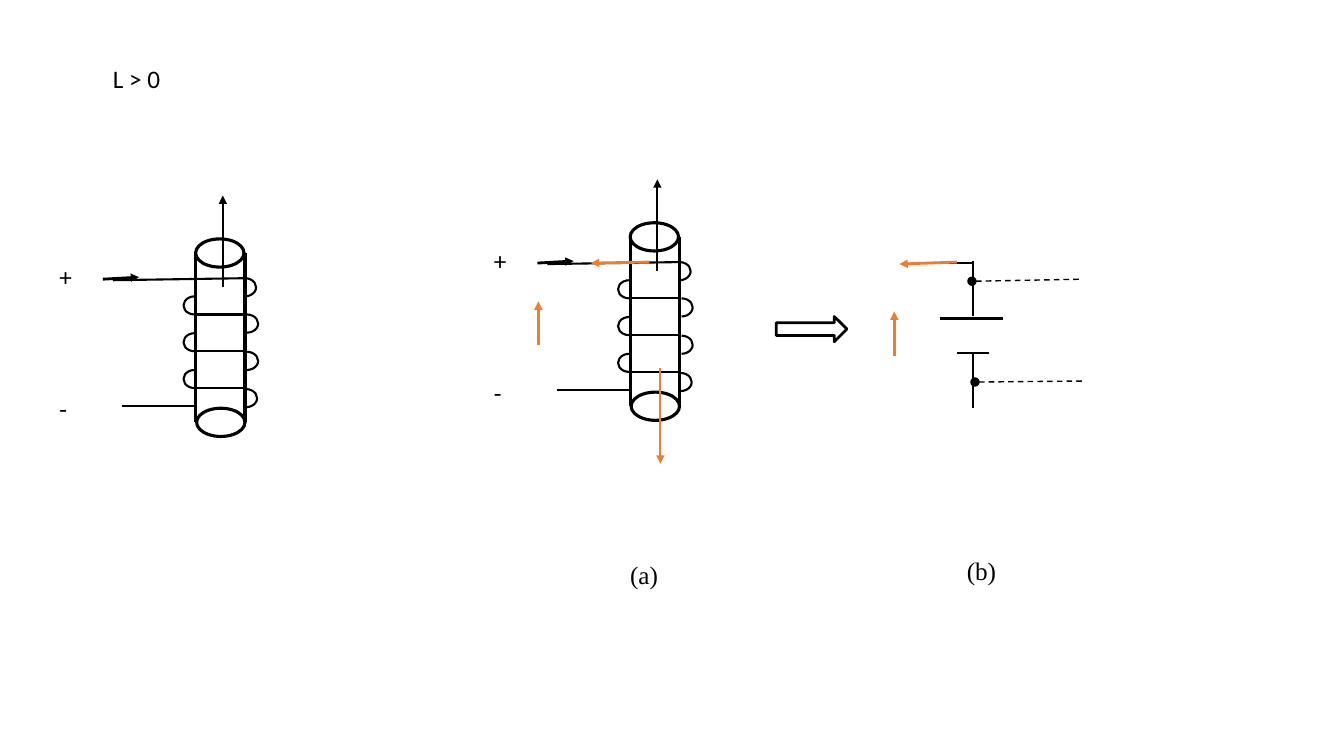
"""Draw a coil with positive inductance, its induced voltage and the equivalent source."""
from lxml import etree
from pptx import Presentation
from pptx.dml.color import RGBColor
from pptx.enum.dml import MSO_LINE
from pptx.enum.shapes import MSO_CONNECTOR, MSO_SHAPE
from pptx.enum.text import MSO_AUTO_SIZE
from pptx.oxml.ns import qn
from pptx.util import Inches, Pt

STRAIGHT = MSO_CONNECTOR.STRAIGHT
OVAL, ARC, BLOCK_ARROW = MSO_SHAPE.OVAL, MSO_SHAPE.ARC, MSO_SHAPE.RIGHT_ARROW
DASH = MSO_LINE.DASH
FIT = MSO_AUTO_SIZE.SHAPE_TO_FIT_TEXT
BLACK, ORANGE = "000000", "ED7D31"
SANS, SERIF = "Calibri", "Times New Roman"

COIL_ORIGINS = [(6.25, 2.35), (1.94, 2.51)]
CORE_WIDTH, CORE_HEIGHT = 0.49, 1.68
CAP_SIZE = (0.48, 0.28)
LOOP_SIZE = (0.22, 0.18)
TURN_PITCH = 0.365
FIRST_TURN = 0.61
RIGHT_LOOPS = [(0.38, 0.25), (0.40, 0.61), (0.40, 0.98), (0.39, 1.35)]
LEFT_LOOP_X, FIRST_LEFT_LOOP = -0.12, 0.43
RIGHT_HALF, LEFT_HALF = (162, 54), (54, 162)
SIGNS = [("+", -1.45, 0.03, 0.33), ("-", -1.45, 1.34, 0.28)]

INDUCED_ARROWS = [
    ((6.44, 2.6), (5.86, 2.61), 2),
    ((5.34, 3.42), (5.34, 2.99), 2),
    ((6.55, 3.65), (6.55, 4.6), 1.5),
    ((8.87, 3.53), (8.87, 3.09), 2),
    ((9.49, 2.6), (8.92, 2.62), 2),
]
SOURCE_LINES = [
    ((9.32, 3.16), (9.95, 3.16)),
    ((9.49, 3.5), (9.81, 3.5)),
    ((9.65, 3.14), (9.65, 2.59)),
    ((9.65, 4.05), (9.65, 3.5)),
    ((9.15, 2.61), (9.65, 2.61)),
]
TERMINALS = [(9.6, 2.75, -0.02), (9.63, 3.75, -0.01)]
DOT, TERMINAL_LEAD = 0.08, 1.06
LABELS = [
    ("(a)", 6.15, 5.5, 0.61, SERIF),
    ("(b)", 9.49, 5.46, 0.61, SERIF),
    ("L > 0", 1.02, 0.58, 0.92, SANS),
]


def colour(code):
    return RGBColor.from_string(code)


def add_line(shapes, start, end, weight=1.5, ink=BLACK, arrow=False, dash=None):
    connector = shapes.add_connector(STRAIGHT, *map(Inches, (*start, *end)))
    connector.line.color.rgb = colour(ink)
    connector.line.width = Pt(weight)
    if dash:
        connector.line.dash_style = dash
    properties = connector._element.spPr
    if arrow:
        tip = etree.SubElement(properties.find(qn("a:ln")), qn("a:tailEnd"))
        tip.set("type", "triangle")
    etree.SubElement(properties, qn("a:effectLst"))


def add_outline(shapes, kind, position, size, weight, fill=None, angles=()):
    outline = shapes.add_shape(kind, *map(Inches, (*position, *size)))
    outline.shadow.inherit = False
    outline.line.color.rgb = colour(BLACK)
    outline.line.width = Pt(weight)
    if fill:
        outline.fill.solid()
        outline.fill.fore_color.rgb = colour(fill)
    else:
        outline.fill.background()
    for index, angle in enumerate(angles):
        outline.adjustments[index] = angle


def add_text(shapes, text, left, top, width, font=SANS, size=18, wrap=True):
    box = shapes.add_textbox(*map(Inches, (left, top, width, 0.4)))
    frame = box.text_frame
    frame.word_wrap = wrap
    frame.auto_size = FIT
    run = frame.paragraphs[0].add_run()
    run.text = text
    run.font.name = font
    run.font.size = Pt(size)
    run.font.color.rgb = colour(BLACK)


def add_coil(shapes, x, y):
    coil = shapes.add_group_shape().shapes
    for side in (0, CORE_WIDTH):
        add_line(coil, (x + side, y), (x + side, y + CORE_HEIGHT), 2.25)
    for dx, dy in ((0, 0), (0.01, CORE_HEIGHT)):
        cap = (x + dx, y + dy - CAP_SIZE[1] / 2)
        add_outline(coil, OVAL, cap, CAP_SIZE, 2.25)
    add_line(coil, (x - 0.82, y + 0.27), (x + CORE_WIDTH, y + 0.25))
    add_line(coil, (x - 0.73, y + 1.52), (x, y + 1.52))
    for dx, dy in RIGHT_LOOPS:
        add_outline(coil, ARC, (x + dx, y + dy), LOOP_SIZE, 1.5, angles=RIGHT_HALF)
    for turn in range(3):
        drop = turn * TURN_PITCH
        loop = (x + LEFT_LOOP_X, y + FIRST_LEFT_LOOP + drop)
        add_outline(coil, ARC, loop, LOOP_SIZE, 1.5, angles=LEFT_HALF)
        level = y + FIRST_TURN + drop
        add_line(coil, (x, level), (x + 0.5, level))

    for sign, dx, dy, width in SIGNS:
        add_text(shapes, sign, x + dx, y + dy, width, wrap=False)
    add_line(shapes, (x - 0.92, y + 0.26), (x - 0.56, y + 0.24), 2, arrow=True)
    add_line(shapes, (x + 0.27, y + 0.34), (x + 0.27, y - 0.57), arrow=True)


def main():
    deck = Presentation()
    deck.slide_width, deck.slide_height = Inches(13.33), Inches(7.5)
    shapes = deck.slides.add_slide(deck.slide_layouts[6]).shapes

    for x, y in COIL_ORIGINS:
        add_coil(shapes, x, y)
    add_outline(shapes, BLOCK_ARROW, (7.7, 3.14), (0.7, 0.25), 2)
    for start, end in SOURCE_LINES:
        add_line(shapes, start, end)
    for start, end, weight in INDUCED_ARROWS:
        add_line(shapes, start, end, weight, ORANGE, arrow=True)
    for x, y, rise in TERMINALS:
        add_outline(shapes, OVAL, (x, y), (DOT, DOT), 1, fill=BLACK)
        start = (x + DOT, y + DOT / 2)
        end = (start[0] + TERMINAL_LEAD, start[1] + rise)
        add_line(shapes, start, end, 1, dash=DASH)
    for text, left, top, width, font in LABELS:
        add_text(shapes, text, left, top, width, font)
    deck.save("out.pptx")


if __name__ == "__main__":
    main()
